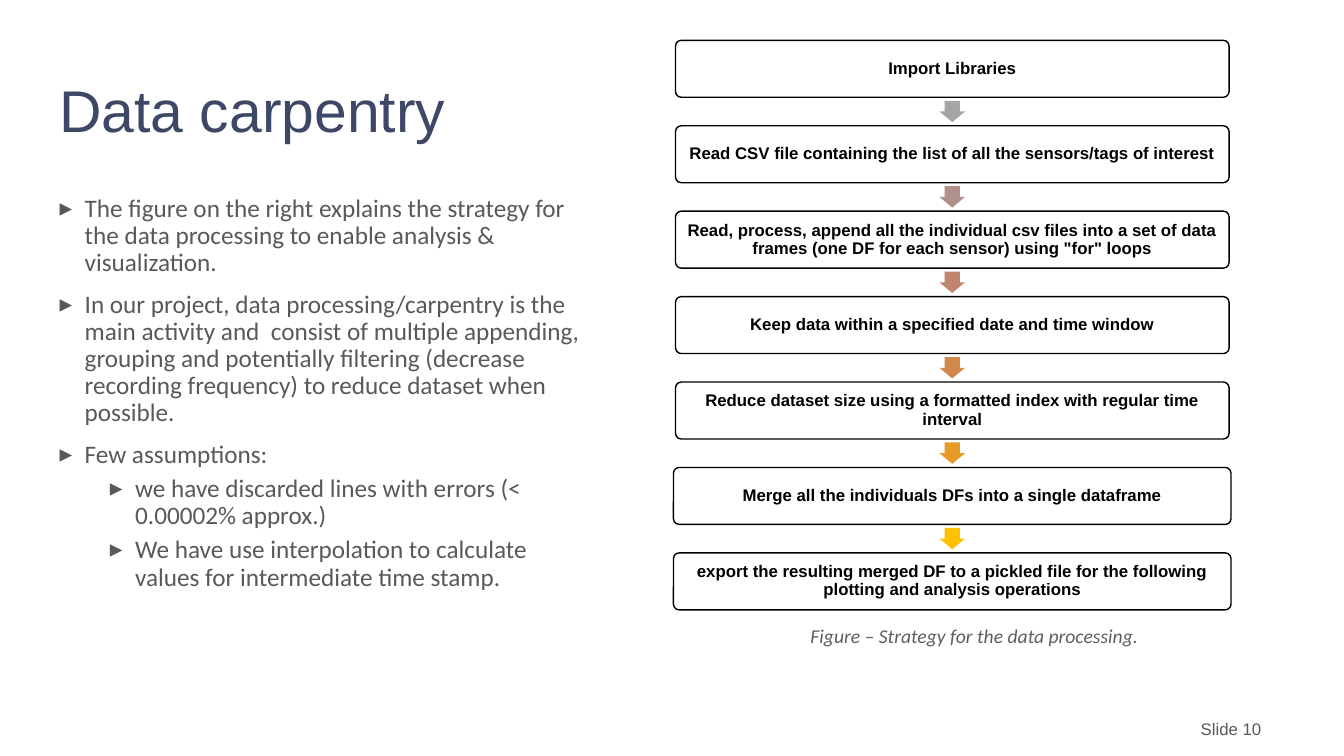
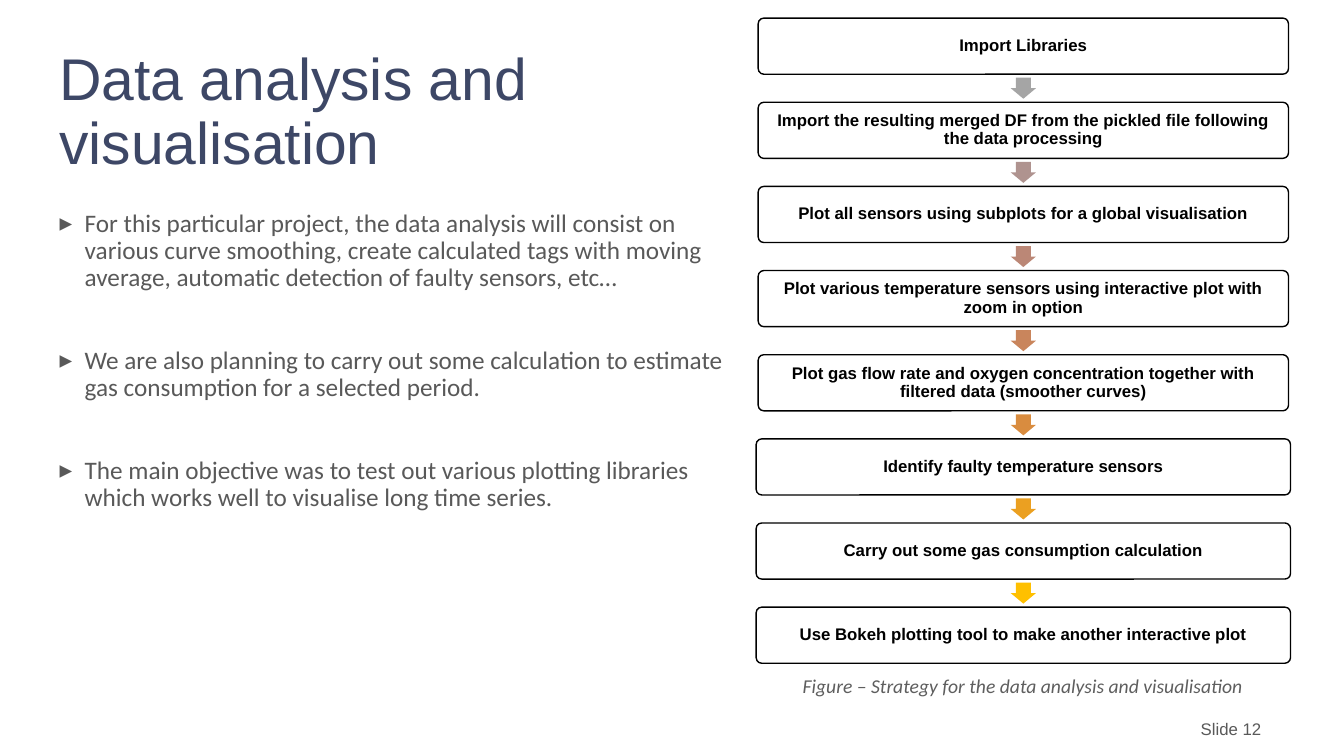
from colorsys import hls_to_rgb, rgb_to_hls
from dataclasses import dataclass
from typing import Any, NamedTuple

from lxml.etree import SubElement
from pptx import Presentation
from pptx.dml.color import RGBColor
from pptx.enum.shapes import MSO_SHAPE
from pptx.enum.text import MSO_ANCHOR, MSO_AUTO_SIZE, PP_ALIGN
from pptx.oxml.ns import qn
from pptx.util import Inches, Pt


class TextStyle(NamedTuple):
    font: dict[str, Any]
    color: RGBColor
    paragraph: dict[str, Any]


@dataclass(frozen=True)
class Theme:
    white: RGBColor = RGBColor(0xFF, 0xFF, 0xFF)
    black: RGBColor = RGBColor(0x00, 0x00, 0x00)
    navy: RGBColor = RGBColor(0x3D, 0x47, 0x66)
    gray: RGBColor = RGBColor(0x59, 0x59, 0x59)
    caption_gray: RGBColor = RGBColor(0x5E, 0x5E, 0x5E)
    first_arrow: RGBColor = RGBColor(0xA5, 0xA5, 0xA5)
    last_arrow: RGBColor = RGBColor(0xFF, 0xC0, 0x00)
    heading_font: str = "Arial"
    body_font: str = "Calibri"

    def style(self, name: str) -> TextStyle:
        left = {"alignment": PP_ALIGN.LEFT}
        center = {"alignment": PP_ALIGN.CENTER}
        tight = {"line_spacing": 0.9}
        return {
            "title": TextStyle({"name": self.heading_font, "size": Pt(42)}, self.navy, left | tight),
            "body": TextStyle({"name": self.body_font, "size": Pt(18)}, self.gray, left | tight),
            "step": TextStyle({"name": self.heading_font, "size": Pt(12), "bold": True},
                              self.black, center | tight),
            "caption": TextStyle({"name": self.body_font, "size": Pt(14), "italic": True},
                                 self.caption_gray, center),
            "number": TextStyle({"name": self.heading_font, "size": Pt(12)}, self.gray, left),
        }[name]


class Box(NamedTuple):
    left: float
    top: float
    width: float
    height: float


class Bullet(NamedTuple):
    text: str
    level: int = 0
    space_before: float = 10


class Flow(NamedTuple):
    area: Box
    steps: list[str]


class Page(NamedTuple):
    title: str
    body_box: Box
    bullets: list[Bullet]
    flow: Flow
    caption: str
    caption_box: Box
    number: str


THEME = Theme()
TITLE_BOX = Box(0.59, 0.4, 6, 1.45)
NUMBER_BOX = Box(11.81, 7.08, 0.9, 0.3)
WIDE_FROM, WIDENING = 5, 0.02
PARAGRAPH_GAP = 39.5

PAGES = [
    Page(
        "Data carpentry",
        Box(0.59, 1.89, 5.42, 4.19),
        [
            Bullet("The figure on the right explains the strategy for the data processing "
                   "to enable analysis & visualization."),
            Bullet("In our project, data processing/carpentry is the main activity and  consist of "
                   "multiple appending, grouping and potentially filtering (decrease recording "
                   "frequency) to reduce dataset when possible."),
            Bullet("Few assumptions:"),
            Bullet("we have discarded lines with errors (< 0.00002% approx.)", 1, 5),
            Bullet("We have use interpolation to calculate values for intermediate time stamp.", 1, 5),
        ],
        Flow(Box(6.7, 0.4, 5.49, 5.65), [
            "Import Libraries",
            "Read CSV file containing the list of all the sensors/tags of interest",
            "Read, process, append all the individual csv files into a set of data frames "
            "(one DF for each sensor) using \"for\" loops",
            "Keep data within a specified date and time window",
            "Reduce dataset size using a formatted index with regular time interval",
            "Merge all the individuals DFs into a single dataframe",
            "export the resulting merged DF to a pickled file for the following plotting "
            "and analysis operations",
        ]),
        "Figure – Strategy for the data processing.",
        Box(6.98, 6.14, 5.37, 0.34),
        "Slide 10",
    ),
    Page(
        "Data analysis and visualisation",
        Box(0.59, 2.04, 6.87, 4.12),
        [
            Bullet("For this particular project, the data analysis will consist on various curve "
                   "smoothing, create calculated tags with moving average, automatic detection "
                   "of faulty sensors, etc…"),
            Bullet("We are also planning to carry out some calculation to estimate gas consumption "
                   "for a selected period.", space_before=PARAGRAPH_GAP),
            Bullet("The main objective was to test out various plotting libraries which works well "
                   "to visualise long time series.", space_before=PARAGRAPH_GAP),
        ],
        Flow(Box(7.52, 0.18, 5.26, 6.4), [
            "Import Libraries",
            "Import the resulting merged DF from the pickled file following the data processing",
            "Plot all sensors using subplots for a global visualisation",
            "Plot various temperature sensors using interactive plot with zoom in option",
            "Plot gas flow rate and oxygen concentration together with filtered data (smoother curves)",
            "Identify faulty temperature sensors",
            "Carry out some gas consumption calculation",
            "Use Bokeh plotting tool to make another interactive plot",
        ]),
        "Figure – Strategy for the data analysis and visualisation",
        Box(7.46, 6.64, 5.37, 0.34),
        "Slide 12",
    ),
]


def inches(box: Box) -> list[int]:
    return [Inches(length) for length in box]


def set_all(target: Any, values: dict[str, Any]) -> None:
    for name, value in values.items():
        setattr(target, name, value)


def write(p: Any, text: str, style: TextStyle) -> None:
    set_all(p, style.paragraph)
    r = p.add_run()
    r.text = text
    set_all(r.font, style.font)
    r.font.color.rgb = style.color


def place(sp: Any, box: Box) -> Any:
    """Move a placeholder, give it the shared frame settings and return its text frame."""
    set_all(sp, dict(zip(("left", "top", "width", "height"), inches(box))))
    tf = sp.text_frame
    set_all(tf, {"margin_left": 0, "margin_right": Inches(0.1), "margin_top": Inches(0.05),
                 "margin_bottom": Inches(0.05), "word_wrap": True,
                 "auto_size": MSO_AUTO_SIZE.NONE})
    return tf


def add_title(s: Any, title: str) -> None:
    tf = place(s.shapes.title, TITLE_BOX)
    tf.vertical_anchor = MSO_ANCHOR.MIDDLE
    write(tf.paragraphs[0], title, THEME.style("title"))


def add_bullets(s: Any, box: Box, bullets: list[Bullet]) -> None:
    tf = place(s.placeholders[1], box)
    tf.vertical_anchor = MSO_ANCHOR.TOP
    for i, bullet in enumerate(bullets):
        p = tf.add_paragraph() if i else tf.paragraphs[0]
        p.level = bullet.level
        pPr = p._p.get_or_add_pPr()
        pPr.set("marL", str(Inches(0.25 + 0.5 * bullet.level)))
        pPr.set("indent", str(Inches(-0.25)))
        SubElement(pPr, qn("a:buFont"), typeface=THEME.heading_font)
        SubElement(pPr, qn("a:buChar"), char="▸")
        p.space_before = Pt(bullet.space_before if i else 0)
        write(p, bullet.text, THEME.style("body"))


def add_label(s: Any, box: Box, text: str, style: TextStyle) -> None:
    tf = s.shapes.add_textbox(*inches(box)).text_frame
    tf.word_wrap = True
    write(tf.paragraphs[0], text, style)


def add_filled(s: Any, kind: MSO_SHAPE, box: Box, fill: RGBColor, adjustments: list[float]) -> Any:
    sp = s.shapes.add_shape(kind, *inches(box))
    sp.shadow.inherit = False
    sp.fill.solid()
    sp.fill.fore_color.rgb = fill
    for i, value in enumerate(adjustments):
        sp.adjustments[i] = value
    return sp


def arrow_color(share: float) -> RGBColor:
    """Blend hue, lightness and saturation between the first and last arrow."""
    start, end = (rgb_to_hls(*(channel / 255 for channel in color))
                  for color in (THEME.first_arrow, THEME.last_arrow))
    blend = (a + (b - a) * share for a, b in zip(start, end))
    return RGBColor(*(round(channel * 255) for channel in hls_to_rgb(*blend)))


def add_step(s: Any, box: Box, text: str) -> None:
    sp = add_filled(s, MSO_SHAPE.ROUNDED_RECTANGLE, box, THEME.white, [0.1])
    sp.line.color.rgb = THEME.black
    sp.line.width = Pt(1)
    tf = sp.text_frame
    set_all(tf, {"word_wrap": True, "vertical_anchor": MSO_ANCHOR.MIDDLE})
    set_all(tf, dict.fromkeys(("margin_left", "margin_right", "margin_top", "margin_bottom"),
                              Inches(0.05)))
    write(tf.paragraphs[0], text, THEME.style("step"))


def add_flow(s: Any, flow: Flow) -> None:
    """Stack the steps with gaps of half a step, each gap holding an arrow."""
    area, count = flow.area, len(flow.steps)
    height = area.height / (1.5 * count - 0.5)
    gap = height / 2
    arrow_width, arrow_height = 0.45 * height, 0.75 * gap
    for i, text in enumerate(flow.steps):
        top = area.top + i * (height + gap)
        extra = WIDENING if i >= WIDE_FROM else 0
        add_step(s, Box(area.left - extra, top, area.width + 2 * extra, height), text)
        if i < count - 1:
            arrow = Box(area.left + (area.width - arrow_width) / 2,
                        top + height + (gap - arrow_height) / 2, arrow_width, arrow_height)
            sp = add_filled(s, MSO_SHAPE.DOWN_ARROW, arrow, arrow_color(i / (count - 2)), [0.6, 0.5])
            sp.line.fill.background()


def add_page(prs: Any, page: Page) -> None:
    s = prs.slides.add_slide(prs.slide_layouts[1])
    add_title(s, page.title)
    add_bullets(s, page.body_box, page.bullets)
    add_flow(s, page.flow)
    add_label(s, page.caption_box, page.caption, THEME.style("caption"))
    add_label(s, NUMBER_BOX, page.number, THEME.style("number"))


def main() -> None:
    prs = Presentation()
    prs.slide_width, prs.slide_height = Inches(13.33), Inches(7.5)
    for page in PAGES:
        add_page(prs, page)
    prs.save("out.pptx")


if __name__ == "__main__":
    main()
